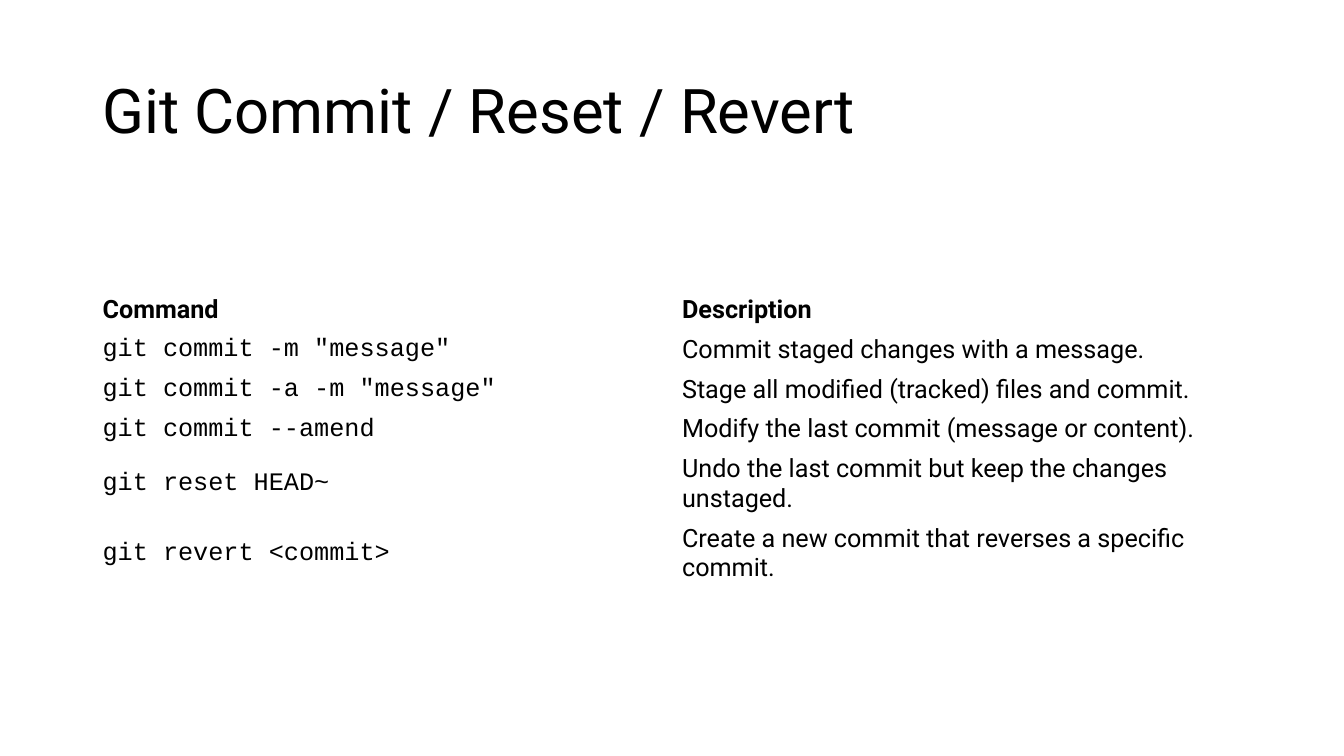
from dataclasses import dataclass

from pptx import Presentation
from pptx.dml.color import RGBColor
from pptx.enum.text import MSO_ANCHOR as Anchor, PP_ALIGN as Align
from pptx.slide import Slide
from pptx.text.text import TextFrame
from pptx.util import Cm, Pt


@dataclass(frozen=True)
class Theme:
    ink: RGBColor = RGBColor(0, 0, 0)
    paper: RGBColor = RGBColor(255, 255, 255)
    body_font: str = "Roboto"
    code_font: str = "Courier New"
    title_size: int = 44
    table_size: int = 18


@dataclass(frozen=True)
class GitCommand:
    command: str
    description: str
    lines: int = 1


THEME = Theme()
LEFT, CONTENT_WIDTH = Cm(2.33), Cm(29.21)
ROW_HEIGHTS = {1: Cm(1), 2: Cm(1.75)}
HEADINGS = GitCommand("Command", "Description")
COMMANDS = [
    GitCommand('git commit -m "message"', "Commit staged changes with a message."),
    GitCommand('git commit -a -m "message"', "Stage all modified (tracked) files and commit."),
    GitCommand("git commit --amend", "Modify the last commit (message or content)."),
    GitCommand("git reset HEAD~", "Undo the last commit but keep the changes unstaged.", lines=2),
    GitCommand("git revert <commit>", "Create a new commit that reverses a specific commit.", lines=2),
]


def write(frame: TextFrame, text: str, *, size: int = THEME.table_size,
          font: str = THEME.body_font, bold: bool = False,
          line_spacing: float = 1.0) -> None:
    paragraph = frame.paragraphs[0]
    paragraph.alignment = Align.LEFT
    paragraph.line_spacing = line_spacing
    run = paragraph.add_run()
    run.text = text
    run.font.size = Pt(size)
    run.font.name = font
    run.font.bold = bold
    run.font.color.rgb = THEME.ink


def add_heading(slide: Slide, text: str) -> None:
    heading = slide.shapes.title
    heading.left, heading.top = LEFT, Cm(1.02)
    heading.width, heading.height = CONTENT_WIDTH, Cm(3.68)
    heading.text_frame.vertical_anchor = Anchor.MIDDLE
    heading.text_frame.word_wrap = True
    write(heading.text_frame, text, size=THEME.title_size, line_spacing=0.9)


def add_command_table(slide: Slide, commands: list[GitCommand]) -> None:
    entries = [HEADINGS, *commands]
    height = sum(ROW_HEIGHTS[entry.lines] for entry in entries)
    table = slide.shapes.add_table(
        len(entries), 2, LEFT, Cm(7.32), CONTENT_WIDTH, height).table
    table.horz_banding = False
    for row, entry in zip(table.rows, entries):
        row.height = ROW_HEIGHTS[entry.lines]
        is_header = entry is HEADINGS
        command_font = THEME.body_font if is_header else THEME.code_font
        columns = ((entry.command, command_font), (entry.description, THEME.body_font))
        for cell, (text, font) in zip(row.cells, columns):
            cell.fill.background()
            cell.vertical_anchor = Anchor.MIDDLE
            write(cell.text_frame, text, font=font, bold=is_header)


def main() -> None:
    deck = Presentation()
    deck.slide_width, deck.slide_height = Cm(33.87), Cm(19.05)
    slide = deck.slides.add_slide(deck.slide_layouts[5])
    slide.background.fill.solid()
    slide.background.fill.fore_color.rgb = THEME.paper
    add_heading(slide, "Git Commit / Reset / Revert")
    add_command_table(slide, COMMANDS)
    deck.save("out.pptx")


if __name__ == "__main__":
    main()
